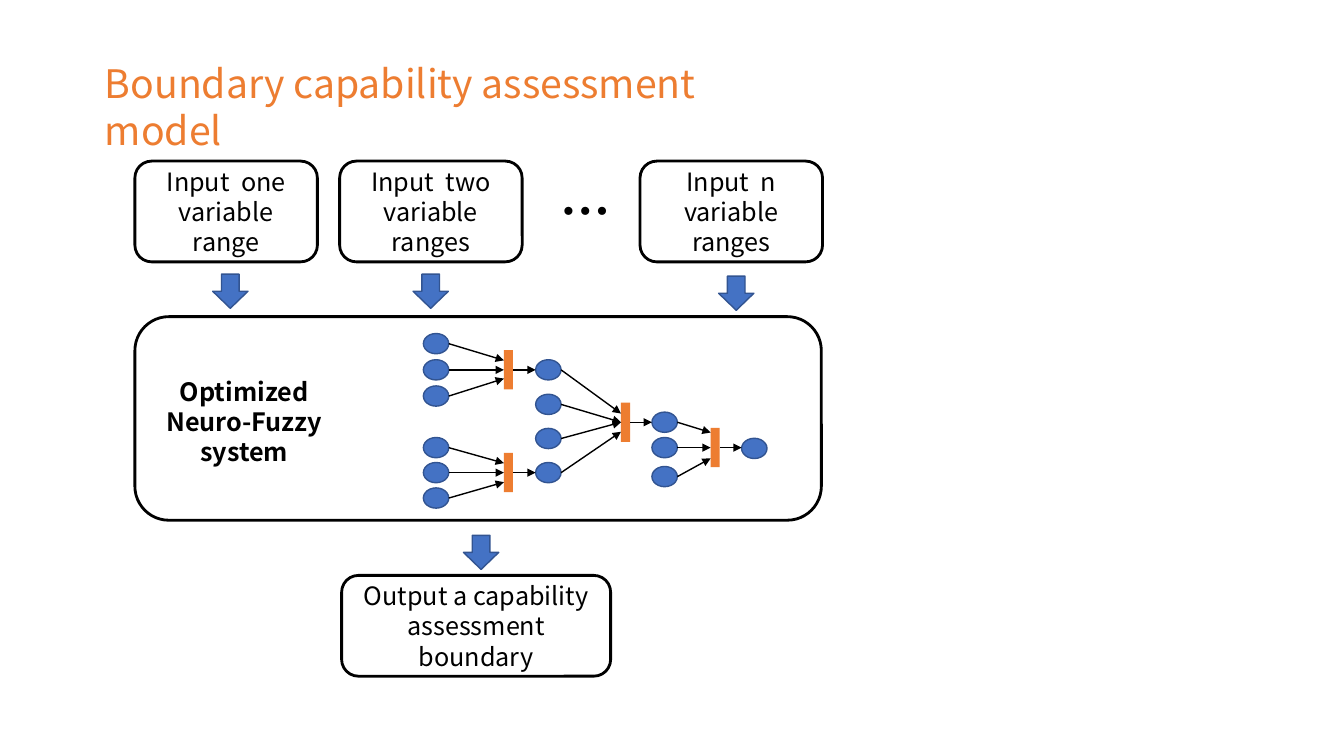
"""Builds the slide of the boundary capability assessment model."""
import pptx
import pptx.util
import pptx.dml.color
import pptx.enum.shapes
import pptx.enum.text
import pptx.oxml.ns
import lxml.etree

Cm, Pt = pptx.util.Cm, pptx.util.Pt
SHAPE = pptx.enum.shapes.MSO_SHAPE
ALIGN = pptx.enum.text.PP_ALIGN
ANCHOR = pptx.enum.text.MSO_ANCHOR
RGB = pptx.dml.color.RGBColor.from_string
qn = pptx.oxml.ns.qn
FONT = "Noto Sans CJK SC"
BLACK, BLUE, DARK_BLUE, ORANGE = "000000", "4472C4", "325491", "ED7D31"


def add_shape(kind, x, y, w, h, fill=None, line=None, width=1):
    sp = s.shapes.add_shape(kind, Cm(x), Cm(y), Cm(w), Cm(h))
    sp.shadow.inherit = False
    if fill:
        sp.fill.solid()
        sp.fill.fore_color.rgb = RGB(fill)
    else:
        sp.fill.background()
    if line:
        sp.line.color.rgb = RGB(line)
        sp.line.width = Pt(width)
    else:
        sp.line.fill.background()
    return sp


def write(sp, text, size=18, color=BLACK, bold=False, align=ALIGN.CENTER, anchor=ANCHOR.MIDDLE):
    tf = sp.text_frame
    tf.word_wrap = True
    tf.auto_size = pptx.enum.text.MSO_AUTO_SIZE.NONE
    tf.vertical_anchor = anchor
    p = tf.paragraphs[0]
    p.alignment = align
    r = p.add_run()
    r.text = text
    r.font.size, r.font.bold, r.font.name = Pt(size), bold, FONT
    r.font.color.rgb = RGB(color)
    lxml.etree.SubElement(r.font._element, qn("a:ea"), typeface=FONT)


prs = pptx.Presentation()
prs.slide_width, prs.slide_height = Cm(33.87), Cm(19.05)
s = prs.slides.add_slide(prs.slide_layouts[5])

title = s.shapes.title
title.left, title.top, title.width, title.height = Cm(2.39), Cm(1.37), Cm(16.94), Cm(1.45)
write(title, "Boundary capability assessment model", 28, ORANGE,
      align=ALIGN.LEFT, anchor=ANCHOR.TOP)

add_shape(SHAPE.ROUNDED_RECTANGLE, 3.4, 7.98, 17.3, 5.13, line=BLACK, width=2)

boxes = [
    (3.4, 4.06, 4.6, "Input  one variable range"),
    (8.56, 4.06, 4.6, "Input  two variable ranges"),
    (16.13, 4.06, 4.6, "Input  n variable ranges"),
    (8.61, 14.5, 6.78, "Output a capability assessment boundary"),
]
for x, y, w, text in boxes:
    write(add_shape(SHAPE.ROUNDED_RECTANGLE, x, y, w, 2.54, line=BLACK, width=2), text)

for x, y in [(5.36, 6.91), (10.41, 6.91), (18.11, 6.96), (11.68, 13.49)]:
    add_shape(SHAPE.DOWN_ARROW, x, y, 0.89, 0.86, BLUE, DARK_BLUE)

label = s.shapes.add_textbox(Cm(3.73), Cm(9.35), Cm(4.85), Cm(2.41))
write(label, "Optimized Neuro-Fuzzy system", bold=True, anchor=ANCHOR.TOP)
dots = s.shapes.add_textbox(Cm(13.87), Cm(4.42), Cm(1.55), Cm(1.8))
write(dots, "…", 36, bold=True, align=ALIGN.LEFT, anchor=ANCHOR.TOP)
dots.text_frame.word_wrap = False

NODE_W, NODE_H, BAR_W, BAR_H = 0.64, 0.51, 0.23, 0.99
columns = [
    (10.67, [8.66, 9.32, 9.98, 11.28, 11.91, 12.55]),
    (13.5, [9.32, 10.19, 11.05, 11.91]),
    (16.43, [10.64, 11.28, 12.01]),
    (18.69, [11.3]),
]
for x, centers in columns:
    for y in centers:
        add_shape(SHAPE.OVAL, x, y - NODE_H / 2, NODE_W, NODE_H, BLUE, DARK_BLUE)

# bar left, bar centre, column feeding it, first and last node, arrow end offsets
rules = [
    (12.7, 9.32, 0, 0, 3, [-0.24, 0, 0.22]),
    (12.7, 11.91, 0, 3, 6, [-0.24, 0, 0.24]),
    (15.65, 10.64, 1, 0, 4, [-0.22, 0, 0, 0.24]),
    (17.91, 11.28, 2, 0, 3, [-0.38, 0, 0.27]),
]
arrows = []
for bar_x, bar_y, column, first, last, offsets in rules:
    add_shape(SHAPE.RECTANGLE, bar_x, bar_y - BAR_H / 2, BAR_W, BAR_H, ORANGE)
    x, centers = columns[column]
    for y, offset in zip(centers[first:last], offsets):
        arrows.append((x + NODE_W, y, bar_x, bar_y + offset))
    arrows.append((bar_x + BAR_W, bar_y, columns[column + 1][0], bar_y))

for x1, y1, x2, y2 in arrows:
    c = s.shapes.add_connector(pptx.enum.shapes.MSO_CONNECTOR.STRAIGHT,
                               Cm(x1), Cm(y1), Cm(x2), Cm(y2))
    c.line.color.rgb = RGB(BLACK)
    c.line.width = Pt(1)
    lxml.etree.SubElement(c.line._get_or_add_ln(), qn("a:tailEnd"), type="triangle")
    lxml.etree.SubElement(c._element.spPr, qn("a:effectLst"))

prs.save("out.pptx")
